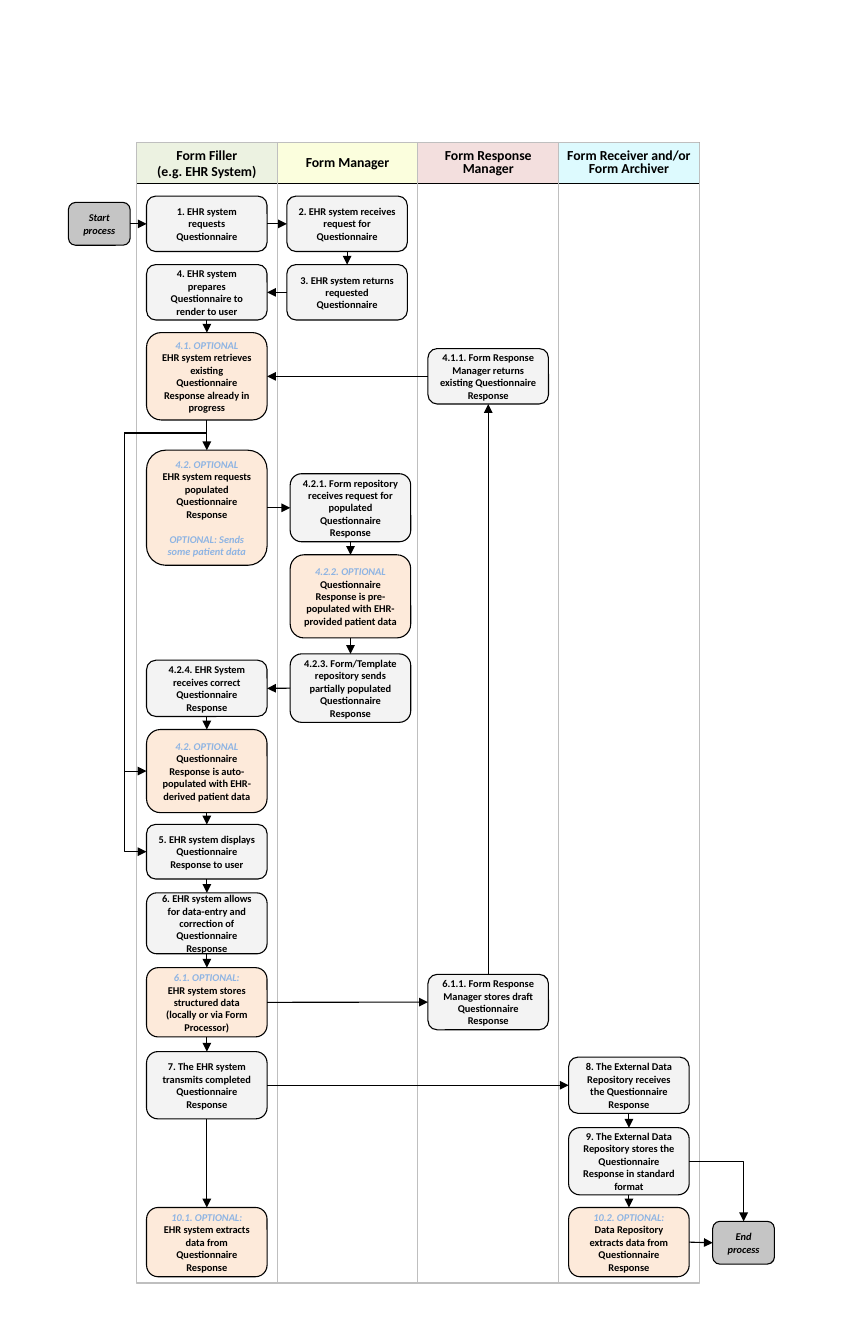
from dataclasses import dataclass

from lxml.etree import SubElement
from pptx import Presentation
from pptx.dml.color import RGBColor
from pptx.enum.shapes import MSO_CONNECTOR as Link, MSO_SHAPE as Preset
from pptx.enum.text import MSO_ANCHOR as Anchor, PP_ALIGN as Align
from pptx.oxml.ns import qn
from pptx.util import Cm, Pt


@dataclass(frozen=True)
class Theme:
    font: str = "Calibri"
    ink: str = "000000"
    hint: str = "8EB4E3"
    step: str = "F2F2F2"
    optional: str = "FDEADA"
    terminal: str = "BFBFBF"
    lane_line: str = "BFBFBF"
    header_size: float = 9.3
    step_size: float = 7
    line_width: float = 0.75


theme = Theme()
deck = Presentation()
deck.slide_width, deck.slide_height = Cm(20.5), Cm(32)
slide = deck.slides.add_slide(deck.slide_layouts[6])


def add_block(preset, left, top, width, height, fill=None, line=theme.ink, opacity=90):
    """Add an outlined shape, placed in centimetres, ready for centred text."""
    block = slide.shapes.add_shape(preset, Cm(left), Cm(top), Cm(width), Cm(height))
    block.shadow.inherit = False
    block.line.color.rgb = RGBColor.from_string(line)
    block.line.width = Pt(theme.line_width)
    if fill:
        block.fill.solid()
        block.fill.fore_color.rgb = RGBColor.from_string(fill)
        if opacity < 100:
            color = block._element.spPr.find(qn("a:solidFill"))[0]
            SubElement(color, qn("a:alpha"), val=str(opacity * 1000))
    else:
        block.fill.background()
    frame = block.text_frame
    frame.word_wrap = True
    frame.vertical_anchor = Anchor.MIDDLE
    frame.margin_left = frame.margin_right = Cm(0.2)
    frame.margin_top = frame.margin_bottom = Cm(0.1)
    return block


def write(block, text, size=theme.step_size, color=theme.ink, italic=False,
          spacing=1.0, before=0):
    """Write one bold centred paragraph into the block."""
    frame = block.text_frame
    paragraph = frame.add_paragraph() if frame.text else frame.paragraphs[0]
    paragraph.text = text
    paragraph.alignment = Align.CENTER
    paragraph.line_spacing = spacing
    paragraph.space_before = Pt(before)
    for run in paragraph.runs:
        run.font.name, run.font.size = theme.font, Pt(size)
        run.font.bold, run.font.italic = True, italic
        run.font.color.rgb = RGBColor.from_string(color)


# Swimlanes
lane_left, lane_top, lane_width, lane_height, header_height = 3.25, 3.4, 3.35, 27.15, 0.97
lanes = [
    ("Form Filler\n(e.g. EHR System)", "EBF1DE", 1.0),
    ("Form Manager", "FBFEDA", 0.8),
    ("Form Response Manager", "F2DCDB", 0.8),
    ("Form Receiver and/or Form Archiver", "DAFAFE", 0.8),
]
lefts = [lane_left + lane_width * number for number in range(len(lanes))]
for left, (role, tint, spacing) in zip(lefts, lanes):
    header = add_block(Preset.RECTANGLE, left, lane_top, lane_width, header_height, tint)
    write(header, role, size=theme.header_size, spacing=spacing)
for left in lefts:
    add_block(Preset.RECTANGLE, left, lane_top, lane_width, lane_height, line=theme.lane_line)

# Steps: key, left, top, height, optional label, text
filler, manager, populating, responses, receiver = 3.49, 6.83, 6.91, 10.19, 13.54
step_width = 2.87
steps = [
    ("1", filler, 4.67, 1.32, "", "1. EHR system requests Questionnaire"),
    ("2", manager, 4.67, 1.32, "", "2. EHR system receives request for Questionnaire"),
    ("3", manager, 6.3, 1.32, "", "3. EHR system returns requested Questionnaire"),
    ("4", filler, 6.3, 1.32, "", "4. EHR system prepares Questionnaire to render to user"),
    ("4.1", filler, 7.92, 2.08, "4.1. OPTIONAL",
     "EHR system retrieves existing Questionnaire Response already in progress"),
    ("4.1.1", responses, 8.3, 1.32, "",
     "4.1.1. Form Response Manager returns existing Questionnaire Response"),
    ("4.2", filler, 10.72, 2.74, "4.2. OPTIONAL",
     "EHR system requests populated Questionnaire Response"),
    ("4.2.1", populating, 11.28, 1.62, "",
     "4.2.1. Form repository receives request for populated Questionnaire Response"),
    ("4.2.2", populating, 13.21, 1.98, "4.2.2. OPTIONAL",
     "Questionnaire Response is pre-populated with EHR-provided patient data"),
    ("4.2.3", populating, 15.57, 1.63, "",
     "4.2.3. Form/Template repository sends partially populated Questionnaire Response"),
    ("4.2.4", filler, 15.72, 1.34, "",
     "4.2.4. EHR System receives correct Questionnaire Response"),
    ("auto", filler, 17.37, 1.98, "4.2. OPTIONAL",
     "Questionnaire Response is auto-populated with EHR-derived patient data"),
    ("5", filler, 19.63, 1.3, "", "5. EHR system displays Questionnaire Response to user"),
    ("6", filler, 21.26, 1.45, "",
     "6. EHR system allows for data-entry and correction of Questionnaire Response"),
    ("6.1", filler, 23.04, 1.65, "6.1. OPTIONAL:",
     "EHR system stores structured data (locally or via Form Processor)"),
    ("6.1.1", responses, 23.2, 1.32, "",
     "6.1.1. Form Response Manager stores draft Questionnaire Response"),
    ("7", filler, 25.04, 1.6, "",
     "7. The EHR system transmits completed Questionnaire Response"),
    ("8", receiver, 25.17, 1.34, "",
     "8. The External Data Repository receives the Questionnaire Response"),
    ("9", receiver, 26.85, 1.6, "",
     "9. The External Data Repository stores the Questionnaire Response in standard format"),
    ("10.1", filler, 28.75, 1.65, "10.1. OPTIONAL:",
     "EHR system extracts data from Questionnaire Response"),
    ("10.2", receiver, 28.75, 1.65, "10.2. OPTIONAL:",
     "Data Repository extracts data from Questionnaire Response"),
]
blocks = {}
for key, left, top, height, label, text in steps:
    fill, opacity = (theme.optional, 100) if label else (theme.step, 90)
    blocks[key] = add_block(Preset.ROUNDED_RECTANGLE, left, top, step_width, height,
                            fill, opacity=opacity)
    if label:
        write(blocks[key], label, color=theme.hint, italic=True)
    write(blocks[key], text)
write(blocks["4.2"], "OPTIONAL: Sends some patient data", color=theme.hint,
      italic=True, before=8.5)

for key, left, top, text in [("start", 1.63, 4.82, "Start process"),
                             ("end", 16.97, 29.08, "End process")]:
    blocks[key] = add_block(Preset.ROUNDED_RECTANGLE, left, top, 1.47, 1.02, theme.terminal)
    write(blocks[key], text, italic=True)

# Straight arrows, grouped by the sides they leave and enter
TOP, LEFT, BOTTOM, RIGHT = range(4)
flows = {
    (RIGHT, LEFT): [("start", "1"), ("1", "2"), ("4.2", "4.2.1"), ("6.1", "6.1.1"),
                    ("7", "8"), ("10.2", "end")],
    (LEFT, RIGHT): [("3", "4"), ("4.1.1", "4.1"), ("4.2.3", "4.2.4")],
    (BOTTOM, TOP): [("2", "3"), ("4", "4.1"), ("4.1", "4.2"), ("4.2.1", "4.2.2"),
                    ("4.2.2", "4.2.3"), ("4.2.4", "auto"), ("auto", "5"), ("5", "6"),
                    ("6", "6.1"), ("6.1", "7"), ("7", "10.1"), ("8", "9"), ("9", "10.2")],
    (TOP, BOTTOM): [("6.1.1", "4.1.1")],
}
arrows = []
for (exit_side, entry_side), pairs in flows.items():
    for source, target in pairs:
        arrow = slide.shapes.add_connector(Link.STRAIGHT, 0, 0, 0, 0)
        arrow.begin_connect(blocks[source], exit_side)
        arrow.end_connect(blocks[target], entry_side)
        arrows.append(arrow)

# Bypasses around the optional population steps
fork_x, fork_y, trunk_x = filler + step_width / 2, 10.31, 2.97
reach = round((fork_x - trunk_x) / (fork_x - filler) * 100000)
for key in ("auto", "5"):
    target = blocks[key]
    bypass = slide.shapes.add_connector(Link.ELBOW, Cm(fork_x), Cm(fork_y),
                                        target.left, target.top + target.height // 2)
    guides = bypass._element.spPr.find(qn("a:prstGeom")).get_or_add_avLst()
    SubElement(guides, qn("a:gd"), name="adj1", fmla=f"val {reach}")
    arrows.append(bypass)

# Single bend from step 9 down to the end
stored, end = blocks["9"], blocks["end"]
finish = slide.shapes.add_connector(
    Link.ELBOW, stored.left + stored.width, stored.top + stored.height // 2,
    end.left + end.width // 2, end.top)
finish._element.spPr.find(qn("a:prstGeom")).set("prst", "bentConnector2")
arrows.append(finish)

for arrow in arrows:
    arrow.line.color.rgb = RGBColor.from_string(theme.ink)
    arrow.line.width = Pt(theme.line_width)
    SubElement(arrow.line._get_or_add_ln(), qn("a:tailEnd"), type="triangle")
    SubElement(arrow._element.spPr, qn("a:effectLst"))

deck.save("out.pptx")
